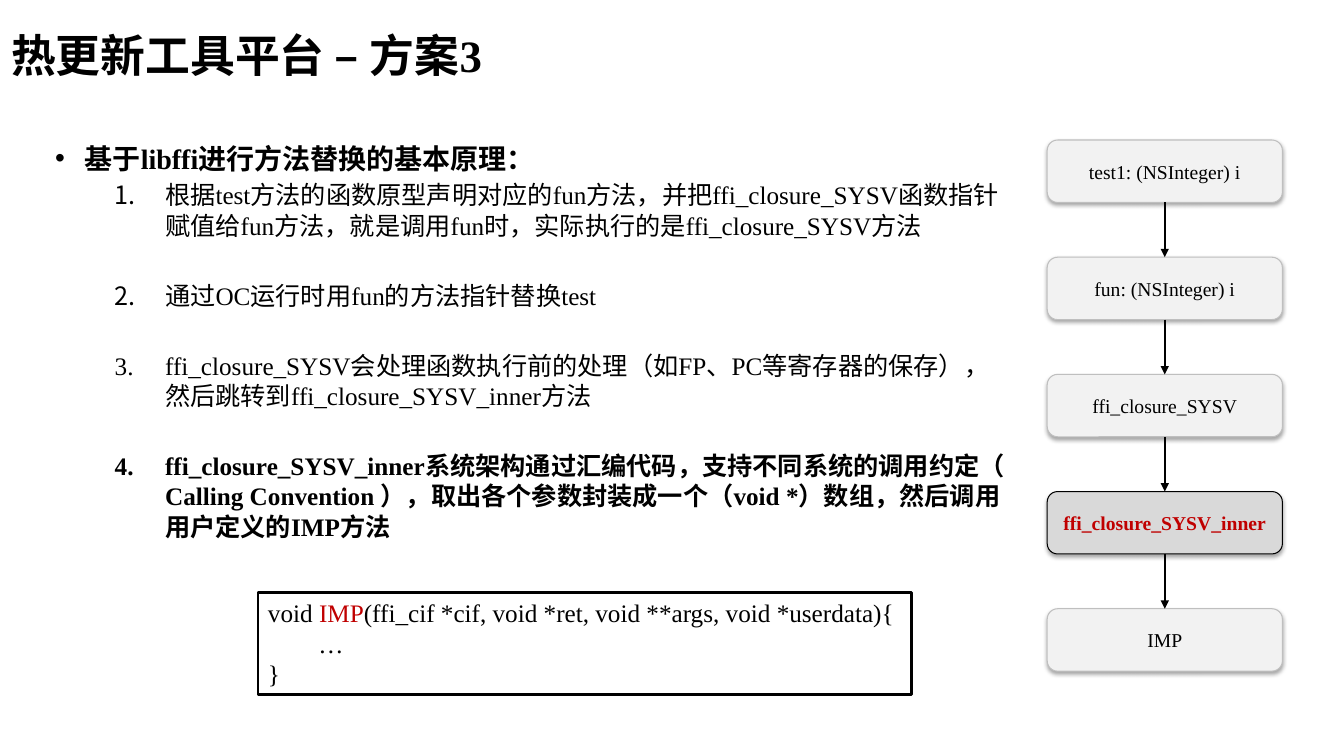
from dataclasses import dataclass

import lxml.etree
import pptx
import pptx.dml.color
import pptx.enum.shapes
import pptx.enum.text
import pptx.oxml.ns
import pptx.util

Pt = pptx.util.Pt
Shapes = pptx.enum.shapes.MSO_SHAPE
Align = pptx.enum.text.PP_ALIGN
Anchor = pptx.enum.text.MSO_ANCHOR
AutoSize = pptx.enum.text.MSO_AUTO_SIZE


@dataclass(frozen=True)
class Theme:
    font: str = "Times New Roman"
    black: str = "000000"
    white: str = "FFFFFF"
    red: str = "C00000"
    pale: str = "F2F2F2"
    grey: str = "D9D9D9"
    border: str = "BFBFBF"
    title_size: float = 32
    heading_size: float = 20
    text_size: float = 18
    step_size: float = 14


THEME = Theme()


@dataclass(frozen=True)
class Item:
    text: str
    bullet: str
    space: float
    size: float = THEME.text_size
    bold: bool = False
    level: int = 1
    margin: float = 78.5
    hanging: float = 36


@dataclass(frozen=True)
class Step:
    text: str
    fill: str = THEME.pale
    line: str = THEME.border
    color: str = THEME.black
    bold: bool = False


ITEMS = [
    Item("基于libffi进行方法替换的基本原理：", "•", 0, THEME.heading_size, True, 0, 21, 21),
    Item("根据test方法的函数原型声明对应的fun方法，并把ffi_closure_SYSV函数指针赋值给fun方法，"
         "就是调用fun时，实际执行的是ffi_closure_SYSV方法", "number", 3.6),
    Item("通过OC运行时用fun的方法指针替换test", "number", 28.5),
    Item("ffi_closure_SYSV会处理函数执行前的处理（如FP、PC等寄存器的保存），"
         "然后跳转到ffi_closure_SYSV_inner方法", "number", 28.5),
    Item("ffi_closure_SYSV_inner系统架构通过汇编代码，支持不同系统的调用约定"
         "（ Calling Convention ），取出各个参数封装成一个（void *）数组，"
         "然后调用用户定义的IMP方法", "number", 28.5, bold=True),
]
STEPS = [
    Step("test1: (NSInteger) i"),
    Step("fun: (NSInteger) i"),
    Step("ffi_closure_SYSV"),
    Step("ffi_closure_SYSV_inner", THEME.grey, THEME.black, THEME.red, True),
    Step("IMP"),
]
CODE = [
    [("void ", THEME.black), ("IMP", THEME.red),
     ("(ffi_cif *cif, void *ret, void **args, void *userdata){", THEME.black)],
    [("        …", THEME.black)],
    [("}", THEME.black)],
]
STEP_LEFT, STEP_TOP, STEP_WIDTH, STEP_HEIGHT, STEP_PITCH = 748, 100, 168, 44.6, 83.7


def rgb(color: str):
    return pptx.dml.color.RGBColor.from_string(color)


def apply(target, values: dict) -> None:
    for name, value in values.items():
        setattr(target, name, value)


def add_xml(parent, tag: str, **attributes: str):
    return lxml.etree.SubElement(parent, pptx.oxml.ns.qn(tag), attributes)


def place(shape, left: float, top: float, width: float, height: float) -> None:
    apply(shape, {"left": Pt(left), "top": Pt(top), "width": Pt(width), "height": Pt(height)})


def add_span(para, text: str, size: float, color: str = THEME.black, bold: bool = False) -> None:
    span = para.add_run()
    span.text = text
    apply(span.font, {"name": THEME.font, "size": Pt(size), "bold": bold})
    span.font.color.rgb = rgb(color)


def next_para(frame, index: int):
    return frame.paragraphs[0] if index == 0 else frame.add_paragraph()


def add_box(page, kind, bounds: tuple, fill: str, line: str, weight: float):
    box = page.shapes.add_shape(kind, *(Pt(length) for length in bounds))
    box.shadow.inherit = False
    box.fill.solid()
    box.fill.fore_color.rgb = rgb(fill)
    box.line.color.rgb = rgb(line)
    box.line.width = Pt(weight)
    return box


def add_title(page) -> None:
    title = page.shapes.title
    place(title, 0.7, 5.8, 631.4, 66.2)
    frame = title.text_frame
    apply(frame, {"word_wrap": True, "auto_size": AutoSize.NONE, "vertical_anchor": Anchor.MIDDLE})
    para = frame.paragraphs[0]
    para.alignment = Align.LEFT
    add_span(para, "热更新工具平台 – 方案3", THEME.title_size, bold=True)


def add_items(page) -> None:
    box = page.shapes.add_textbox(Pt(32.4), Pt(97.2), Pt(695.5), Pt(375))
    frame = box.text_frame
    frame.word_wrap = True
    for index, item in enumerate(ITEMS):
        para = next_para(frame, index)
        apply(para, {"level": item.level, "space_before": Pt(item.space)})
        properties = para._p.get_or_add_pPr()
        properties.set("marL", str(Pt(item.margin)))
        properties.set("indent", str(-Pt(item.hanging)))
        if item.bullet == "number":
            add_xml(properties, "a:buFont", typeface="+mj-lt")
            add_xml(properties, "a:buAutoNum", type="arabicPeriod")
        else:
            add_xml(properties, "a:buFont", typeface="Arial")
            add_xml(properties, "a:buChar", char=item.bullet)
        add_span(para, item.text, item.size, bold=item.bold)


def add_step(page, step: Step, top: float):
    bounds = (STEP_LEFT, top, STEP_WIDTH, STEP_HEIGHT)
    box = add_box(page, Shapes.ROUNDED_RECTANGLE, bounds, step.fill, step.line, 0.75)
    effects = box._element.spPr.find(pptx.oxml.ns.qn("a:effectLst"))
    shadow = add_xml(effects, "a:outerShdw", blurRad=str(Pt(3.1)), dist=str(Pt(1.8)),
                     dir="5400000", rotWithShape="0")
    color = add_xml(shadow, "a:srgbClr", val=THEME.black)
    add_xml(color, "a:alpha", val="35000")
    frame = box.text_frame
    apply(frame, {"word_wrap": True, "vertical_anchor": Anchor.MIDDLE})
    para = frame.paragraphs[0]
    para.alignment = Align.CENTER
    add_span(para, step.text, THEME.step_size, step.color, step.bold)
    return box


def add_arrow(page, upper, lower) -> None:
    arrow = page.shapes.add_connector(pptx.enum.shapes.MSO_CONNECTOR.STRAIGHT, 0, 0, 0, 0)
    arrow.begin_connect(upper, 2)
    arrow.end_connect(lower, 0)
    arrow.line.color.rgb = rgb(THEME.black)
    arrow.line.width = Pt(1.5)
    add_xml(arrow.line._get_or_add_ln(), "a:tailEnd", type="triangle")
    add_xml(arrow._element.spPr, "a:effectLst")


def add_code(page) -> None:
    box = add_box(page, Shapes.RECTANGLE, (184.3, 423.4, 466.6, 72.7), THEME.white, THEME.black, 2)
    frame = box.text_frame
    apply(frame, {"word_wrap": False, "auto_size": AutoSize.SHAPE_TO_FIT_TEXT,
                  "vertical_anchor": Anchor.TOP})
    for index, line in enumerate(CODE):
        para = next_para(frame, index)
        para.alignment = Align.LEFT
        for text, color in line:
            add_span(para, text, THEME.text_size, color)


def main() -> None:
    deck = pptx.Presentation()
    apply(deck, {"slide_width": Pt(960), "slide_height": Pt(540)})
    page = deck.slides.add_slide(deck.slide_layouts.get_by_name("Title Only"))
    add_title(page)
    add_items(page)
    boxes = [add_step(page, step, STEP_TOP + index * STEP_PITCH)
             for index, step in enumerate(STEPS)]
    for upper, lower in zip(boxes, boxes[1:]):
        add_arrow(page, upper, lower)
    add_code(page)
    deck.save("out.pptx")


if __name__ == "__main__":
    main()
